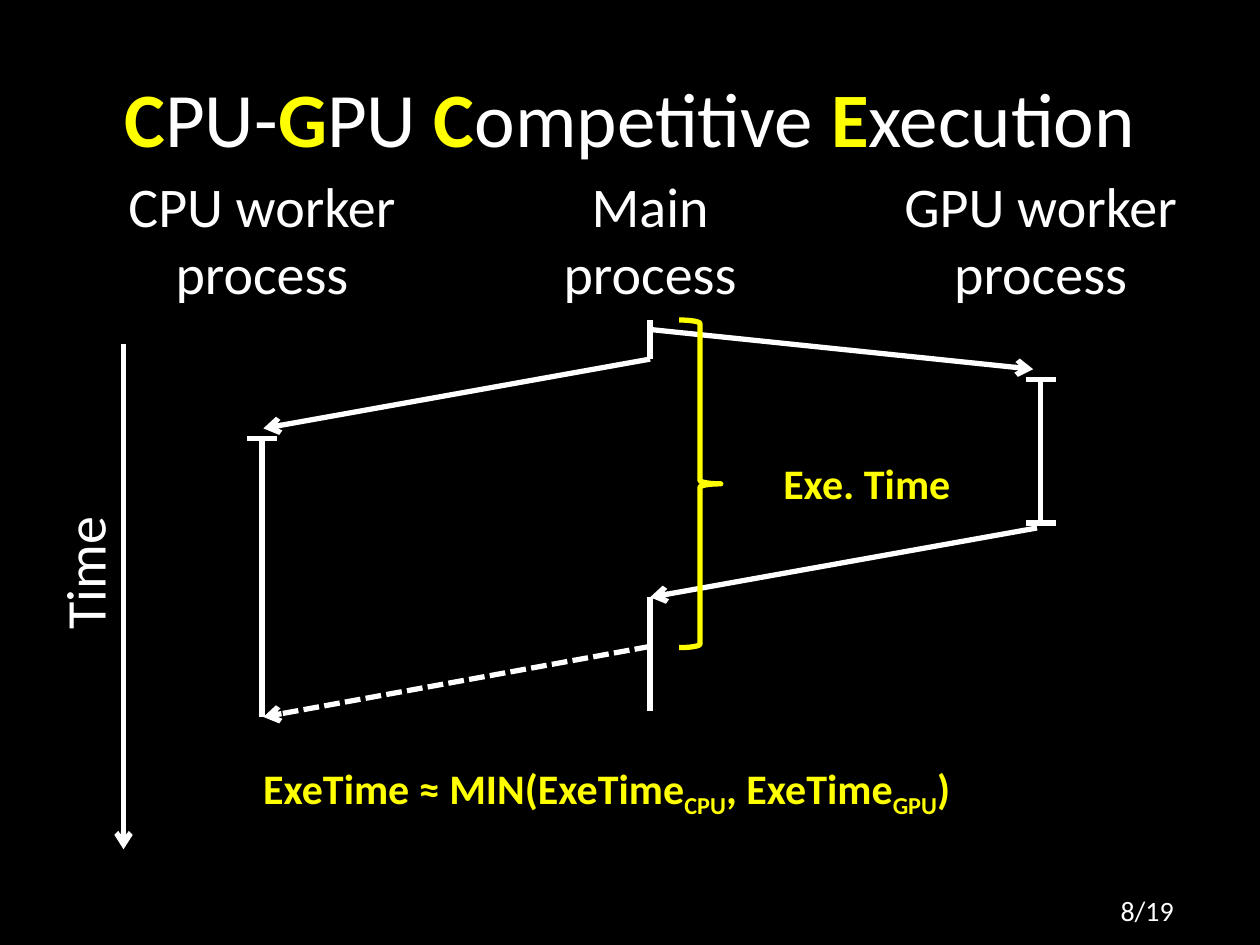
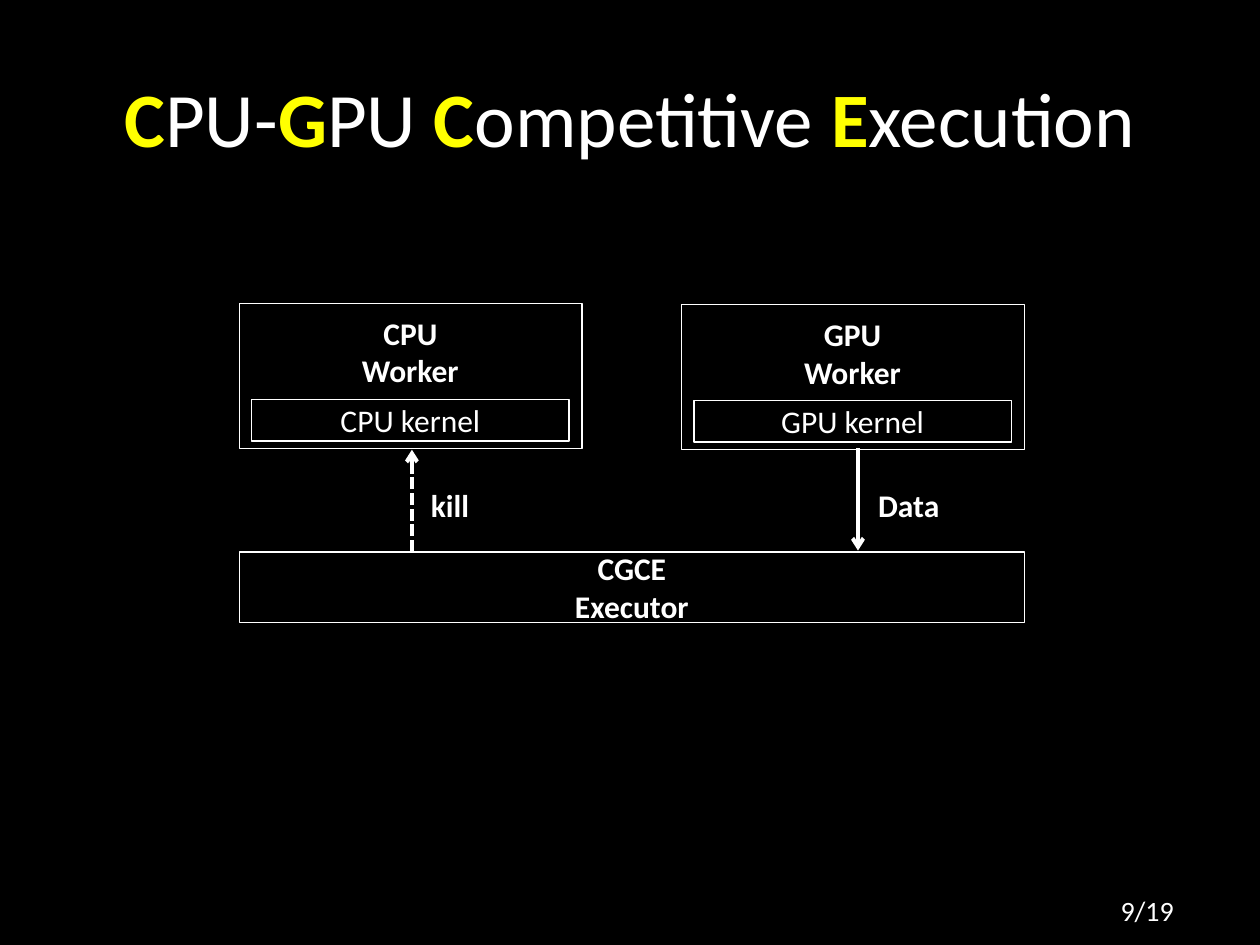
from lxml import etree
from pptx import Presentation
from pptx.dml.color import RGBColor
from pptx.enum.dml import MSO_LINE
from pptx.enum.shapes import MSO_CONNECTOR, MSO_SHAPE
from pptx.enum.text import MSO_ANCHOR, PP_ALIGN
from pptx.oxml.ns import qn
from pptx.util import Pt

BLACK = RGBColor(0x00, 0x00, 0x00)
WHITE = RGBColor(0xFF, 0xFF, 0xFF)
YELLOW = RGBColor(0xFF, 0xFF, 0x00)
FONT = "Calibri"
LEFT, CENTER = PP_ALIGN.LEFT, PP_ALIGN.CENTER
TOP, MIDDLE = MSO_ANCHOR.TOP, MSO_ANCHOR.MIDDLE
RECT, BRACE = MSO_SHAPE.RECTANGLE, MSO_SHAPE.RIGHT_BRACE
STRAIGHT = MSO_CONNECTOR.STRAIGHT
DASH = MSO_LINE.SQUARE_DOT
TITLE = [("C", "PU-"), ("G", "PU "), ("C", "ompetitive "), ("E", "xecution")]
TOTAL = 19


class Deck:
    """Holds the presentation, its shared style and the current slide."""

    def __init__(self):
        self.prs = Presentation()
        self.prs.slide_width, self.prs.slide_height = Pt(720), Pt(540)
        self.s = None

    def slide(self, number):
        self.s = self.prs.slides.add_slide(self.prs.slide_layouts[6])
        fill = self.s.background.fill
        fill.solid()
        fill.fore_color.rgb = BLACK
        title = self.text((36, 21.6, 648, 90), [[]], 44, anchor=MIDDLE, wrap=True)
        p = title.text_frame.paragraphs[0]
        for initial, rest in TITLE:
            self.run(p, initial, 44, YELLOW, True)
            self.run(p, rest, 44)
        self.text((591, 507, 129, 26.6), [[f"{number}/{TOTAL}"]], 16, wrap=True)

    def run(self, p, text, size, color=WHITE, bold=False, sub=False):
        r = p.add_run()
        r.text = text
        r.font.name, r.font.size, r.font.bold = FONT, Pt(size), bold
        r.font.color.rgb = color
        if sub:
            r._r.get_or_add_rPr().set("baseline", "-25000")

    def lines(self, tf, lines, size, color=WHITE, bold=False, align=CENTER):
        for i, line in enumerate(lines):
            p = tf.add_paragraph() if i else tf.paragraphs[0]
            p.alignment = align
            for j, text in enumerate(line):
                self.run(p, text, size, color, bold, j % 2 == 1)

    def text(self, box, lines, size, color=WHITE, bold=False, align=CENTER,
             anchor=TOP, wrap=False):
        sp = self.s.shapes.add_textbox(*map(Pt, box))
        tf = sp.text_frame
        tf.word_wrap, tf.vertical_anchor = wrap, anchor
        self.lines(tf, lines, size, color, bold, align)
        return sp

    def shape(self, box, kind=RECT, fill=None, line=None, width=0.75):
        sp = self.s.shapes.add_shape(kind, *map(Pt, box))
        sp.shadow.inherit = False
        if fill is None:
            sp.fill.background()
        else:
            sp.fill.solid()
            sp.fill.fore_color.rgb = fill
        if line is None:
            sp.line.fill.background()
        else:
            sp.line.color.rgb = line
            sp.line.width = Pt(width)
        return sp

    def box(self, box, words, line=None, bold=True, align=CENTER, inset=True):
        tf = self.shape(box, fill=BLACK, line=line).text_frame
        tf.word_wrap, tf.vertical_anchor = True, MIDDLE
        if not inset:
            tf.margin_left = tf.margin_right = tf.margin_top = tf.margin_bottom = 0
        self.lines(tf, [[word] for word in words], 18, bold=bold, align=align)

    def line(self, start, end, width=3, arrow=False, dash=None, group=None):
        shapes = (group or self.s).shapes
        cx = shapes.add_connector(STRAIGHT, *map(Pt, (*start, *end)))
        cx.line.color.rgb = WHITE
        cx.line.width = Pt(width)
        if dash:
            cx.line.dash_style = dash
        sp_pr = cx._element.spPr
        if arrow:
            etree.SubElement(sp_pr.find(qn("a:ln")), qn("a:tailEnd"), type="arrow")
        etree.SubElement(sp_pr, qn("a:effectLst"))

    def lifespan(self, x, top, bottom, caps):
        group = self.s.shapes.add_group_shape()
        self.line((x, top), (x, bottom), group=group)
        for y in caps:
            self.line((x - 8.6, y), (x + 8.6, y), group=group)


def timeline(deck):
    deck.slide(8)
    deck.line((70.6, 196.6), (70.6, 485.3), arrow=True)
    time = deck.text((7.9, 303.8, 79.9, 46.1), [["Time"]], 32, align=LEFT)
    time.rotation = 270

    cpu, main_x, gpu = 149.8, 371.5, 594.7
    for name, x, width in (("CPU worker", cpu, 168.5), ("GPU worker", gpu, 171.4),
                           ("Main", main_x, 114.5)):
        deck.text((x - width / 2, 94.3, width, 85), [[name], ["process"]], 32)

    deck.line((main_x, 205.2), (150.5, 244.8), arrow=True)
    deck.line((main_x, 188.3), (590.4, 211), arrow=True)
    deck.lifespan(cpu, 250.6, 409.7, [250.6])
    deck.lifespan(gpu, 216.7, 298.8, [216.7, 298.8])
    deck.line((592.6, 301.7), (main_x, 341.3), arrow=True)
    deck.line((main_x, 369.4), (150.5, 409.7), arrow=True, dash=DASH)
    deck.line((main_x, 341.3), (main_x, 406.1))
    deck.line((main_x, 182.9), (main_x, 205.2))

    deck.shape((388.1, 182.9, 23.8, 187.2), BRACE, line=YELLOW, width=3)
    deck.text((439.9, 257.8, 110.9, 36), [["Exe. Time"]], 24, YELLOW, True)
    formula = ["ExeTime ≈ MIN(ExeTime", "CPU", ", ExeTime", "GPU", ")"]
    deck.text((137.5, 432, 418.3, 36), [formula], 24, YELLOW, True)


def structure(deck):
    deck.slide(9)
    for unit, x, y in (("GPU", 389.5, 174.2), ("CPU", 136.8, 173.5)):
        deck.box((x + 7, y + 3.6, 181.4, 47.5), [unit, "Worker"])
        deck.box((x + 7, y + 54.7, 181.4, 23.8), [f"{unit} kernel"], WHITE, False)
        deck.shape((x, y, 195.8, 82.8), line=WHITE)
    deck.box((136.8, 315.4, 448.6, 40.3), ["CGCE", "Executor"], WHITE)

    deck.line((235.4, 315.4), (235.4, 257), 2.25, arrow=True, dash=DASH)
    deck.line((490.3, 256.3), (490.3, 314.6), 2.25, arrow=True)
    for word, x in (("kill", 246.2), ("Data", 501.8)):
        deck.box((x, 272.9, 62.6, 31), [word], align=LEFT, inset=False)


def main():
    deck = Deck()
    timeline(deck)
    structure(deck)
    deck.prs.save("out.pptx")


if __name__ == "__main__":
    main()
